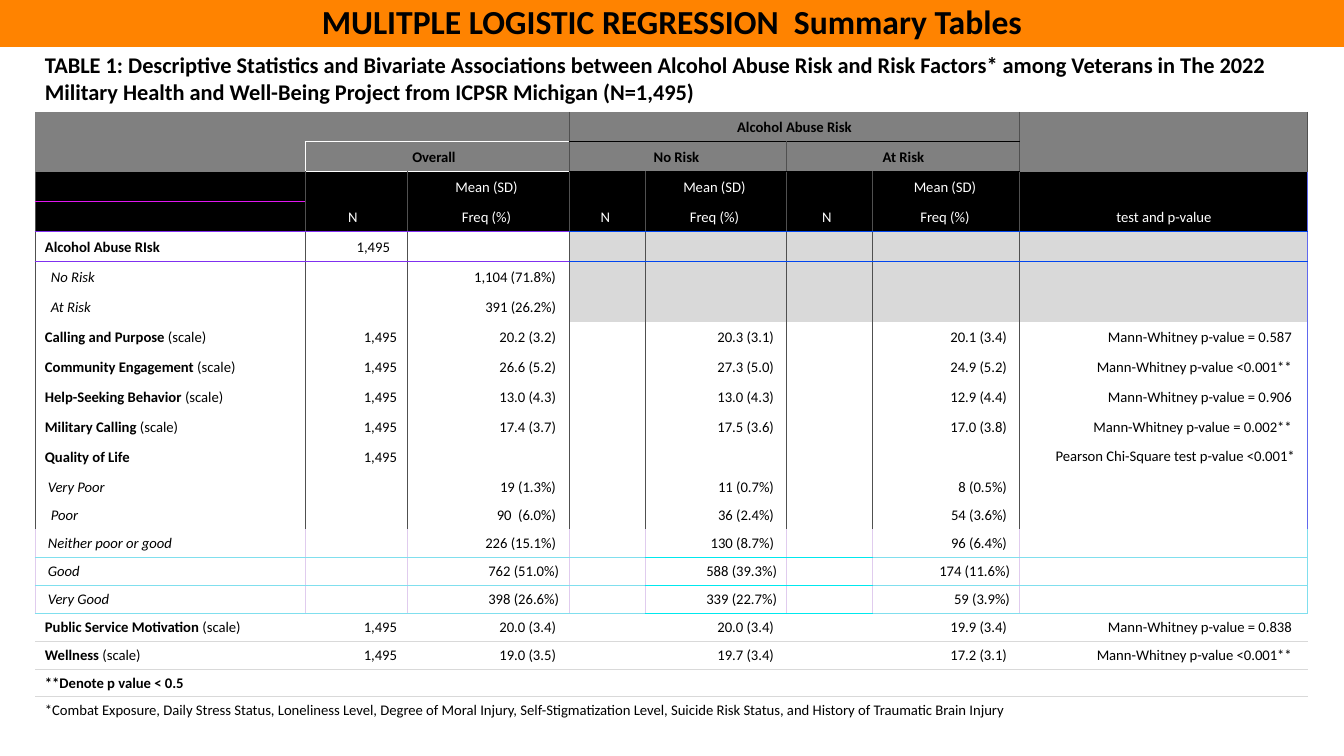
from dataclasses import dataclass

from lxml import etree
from pptx import Presentation
from pptx import util as u
from pptx.dml.color import RGBColor
from pptx.enum import text
from pptx.oxml import ns

LEFT, CENTER, RIGHT = text.PP_ALIGN.LEFT, text.PP_ALIGN.CENTER, text.PP_ALIGN.RIGHT


@dataclass(frozen=True)
class Theme:
    font: str = "Calibri"
    title_size: float = 24
    caption_size: float = 16
    cell_size: float = 10.5
    line_width: float = 0.75
    orange: str = "FF8300"
    black: str = "000000"
    white: str = "FFFFFF"
    grey: str = "808080"
    shade: str = "D9D9D9"
    edge: str = "505050"
    magenta: str = "E017EF"
    purple: str = "8030EF"
    blue: str = "0045EF"
    violet: str = "6068EE"
    cyan: str = "80DFEE"
    bright_cyan: str = "00E8EE"
    lilac: str = "E0CCEE"


THEME = Theme()
NO_GRID_STYLE = "{2D5ABB26-0587-4C30-8999-92F81FD0307C}"
INSET = 10
COLUMN_WIDTHS = [270, 102, 162, 76, 142, 86, 147, 288]
ROW_HEIGHTS = [64] + [30] * 13 + [27] * 8
GROUP_ENDS = [0, 2, 4, 6]
TEST = len(COLUMN_WIDTHS) - 1
CAPTION, GROUP, SUBGROUP, STATISTIC, UNITS, FIRST_BODY = range(6)
NEITHER_ROW, VERY_GOOD_ROW, DENOTE_ROW, COVARIATE_ROW = 15, 17, 20, 21

SCALE, LEVEL = "(scale)", "level"
# label, suffix or level mark, N, overall, no risk, at risk, test
BODY = [
    ("Alcohol Abuse RIsk", "", "1,495", "", "", "", ""),
    ("No Risk", LEVEL, "", "1,104 (71.8%)", "", "", ""),
    ("At Risk", LEVEL, "", "391 (26.2%)", "", "", ""),
    ("Calling and Purpose ", SCALE, "1,495", "20.2 (3.2)", "20.3 (3.1)", "20.1 (3.4)", "Mann-Whitney p-value = 0.587"),
    ("Community Engagement ", SCALE, "1,495", "26.6 (5.2)", "27.3 (5.0)", "24.9 (5.2)", "Mann-Whitney p-value <0.001**"),
    ("Help-Seeking Behavior ", SCALE, "1,495", "13.0 (4.3)", "13.0 (4.3)", "12.9 (4.4)", "Mann-Whitney p-value = 0.906"),
    ("Military Calling ", SCALE, "1,495", "17.4 (3.7)", "17.5 (3.6)", "17.0 (3.8)", "Mann-Whitney p-value = 0.002**"),
    ("Quality of Life", "", "1,495", "", "", "", "Pearson Chi-Square test p-value <0.001*"),
    ("Very Poor", LEVEL, "", "19 (1.3%)", "11 (0.7%)", "8 (0.5%)", ""),
    ("Poor", LEVEL, "", "90  (6.0%)", "36 (2.4%)", "54 (3.6%)", ""),
    ("Neither poor or good", LEVEL, "", "226 (15.1%)", "130 (8.7%)", "96 (6.4%)", ""),
    ("Good", LEVEL, "", "762 (51.0%)", "588 (39.3%)", "174 (11.6%)", ""),
    ("Very Good", LEVEL, "", "398 (26.6%)", "339 (22.7%)", "59 (3.9%)", ""),
    ("Public Service Motivation ", SCALE, "1,495", "20.0 (3.4)", "20.0 (3.4)", "19.9 (3.4)", "Mann-Whitney p-value = 0.838"),
    ("Wellness ", SCALE, "1,495", "19.0 (3.5)", "19.7 (3.4)", "17.2 (3.1)", "Mann-Whitney p-value <0.001**"),
]


def px(count):
    return u.Emu(round(count * 914400 / 100.8))


def apply(target, formats):
    for name, value in formats.items():
        setattr(target, name, value)


class SlideBuilder:
    def __init__(self, deck, theme):
        self.theme = theme
        self.slide = deck.slides.add_slide(deck.slide_layouts[5])

    def add_runs(self, paragraph, runs, size, color, align):
        """Add runs given as (wording, font formats) pairs."""
        paragraph.alignment = align
        for wording, formats in runs:
            run = paragraph.add_run()
            run.text = wording
            apply(run.font, {"name": self.theme.font, "size": u.Pt(size), **formats})
            run.font.color.rgb = RGBColor.from_string(color)

    def title_bar(self, wording, left, top, width, height):
        bar = self.slide.shapes.title
        apply(bar, {"left": px(left), "top": px(top), "width": px(width), "height": px(height)})
        bar.fill.solid()
        bar.fill.fore_color.rgb = RGBColor.from_string(self.theme.orange)
        apply(bar.text_frame, {"vertical_anchor": text.MSO_ANCHOR.MIDDLE, "word_wrap": True,
                               "auto_size": text.MSO_AUTO_SIZE.NONE})
        self.add_runs(bar.text_frame.paragraphs[0], [(wording, {"bold": True})],
                      self.theme.title_size, self.theme.black, CENTER)

    def table(self, left, top, widths, heights):
        table = self.slide.shapes.add_table(len(heights), len(widths), px(left), px(top),
                                            px(sum(widths)), px(sum(heights))).table
        apply(table, {"first_row": False, "horz_banding": False})
        table._tbl.tblPr.find(ns.qn("a:tableStyleId")).text = NO_GRID_STYLE
        for column, width in zip(table.columns, widths):
            column.width = px(width)
        for row, height in zip(table.rows, heights):
            row.height = px(height)
        return table

    def cell_box(self, cell, fill, borders):
        """Set borders, then fill: the order the schema asks for."""
        properties = cell._tc.get_or_add_tcPr()
        for side in filter(borders.get, "LRTB"):
            line = etree.SubElement(properties, ns.qn("a:ln" + side), w=str(u.Pt(self.theme.line_width)))
            solid = etree.SubElement(line, ns.qn("a:solidFill"))
            etree.SubElement(solid, ns.qn("a:srgbClr"), val=borders[side])
        if fill:
            cell.fill.solid()
            cell.fill.fore_color.rgb = RGBColor.from_string(fill)
        else:
            cell.fill.background()
        cell.vertical_anchor = text.MSO_ANCHOR.BOTTOM
        end = cell.text_frame.paragraphs[0]._p.get_or_add_endParaRPr()
        end.set("sz", str(round(self.theme.cell_size * 100)))

    def cell_text(self, cell, runs, align=LEFT, left=INSET, right=INSET, size=None, color=None):
        apply(cell, {"margin_left": px(left), "margin_right": px(right)})
        self.add_runs(cell.text_frame.paragraphs[0], runs, size or self.theme.cell_size,
                      color or self.theme.black, align)


def cell_fill(row, column):
    if row in (GROUP, SUBGROUP):
        return THEME.grey
    if row in (STATISTIC, UNITS):
        return THEME.black
    return THEME.shade if FIRST_BODY <= row < FIRST_BODY + 3 and column >= 3 else None


def line_below(row, column):
    if row == GROUP and 1 <= column <= 6:
        return THEME.white if column <= 2 else THEME.black
    if row == STATISTIC and column == 0:
        return THEME.magenta
    if row == UNITS:
        return THEME.purple if column <= 2 else THEME.blue
    if NEITHER_ROW <= row <= VERY_GOOD_ROW:
        return THEME.bright_cyan if column in (4, 5) else THEME.cyan
    return THEME.shade if VERY_GOOD_ROW < row <= DENOTE_ROW else None


def cell_borders(row, column):
    borders = {"T": line_below(row - 1, column), "B": line_below(row, column)}
    if GROUP <= row <= VERY_GOOD_ROW:
        color = THEME.lilac if row >= NEITHER_ROW else THEME.edge
        for end in (2, 6) if row == GROUP else GROUP_ENDS:
            if column in (end, end + 1):
                white = (row, end) == (SUBGROUP, 0)
                borders["R" if column == end else "L"] = THEME.white if white else color
        if row >= STATISTIC and column == 0:
            borders["L"] = color
        if row >= STATISTIC and column == TEST:
            borders["R"] = THEME.cyan if row >= NEITHER_ROW else THEME.violet
    return borders


def fill_headings(builder, table):
    for row, first, last, wording, right in [
        (GROUP, 3, 6, "Alcohol Abuse Risk", 10), (SUBGROUP, 1, 2, "Overall", 16),
        (SUBGROUP, 3, 4, "No Risk", 13), (SUBGROUP, 5, 6, "At Risk", 10),
    ]:
        table.cell(row, first).merge(table.cell(row, last))
        builder.cell_text(table.cell(row, first), [(wording, {"bold": True})], CENTER, right=right)
    units = ["N", "Freq (%)"] * 3 + ["test and p-value"]
    headings = [(UNITS, column, wording) for column, wording in enumerate(units, 1)]
    headings += [(STATISTIC, column, "Mean (SD)") for column in (2, 4, 6)]
    for row, column, wording in headings:
        right = {1: 16, 5: 16, TEST: INSET}.get(column, 13)
        builder.cell_text(table.cell(row, column), [(wording, {})], CENTER, right=right, color=THEME.white)


def fill_body(builder, table):
    for row, (label, suffix, n, overall, no_risk, at_risk, test) in enumerate(BODY, FIRST_BODY):
        if suffix == LEVEL:
            indent = 6 if label in ("No Risk", "At Risk", "Poor") else 3
            builder.cell_text(table.cell(row, 0), [(label, {"italic": True})], left=INSET + indent)
        else:
            runs = [(label, {"bold": True})] + ([(suffix, {})] if suffix else [])
            builder.cell_text(table.cell(row, 0), runs)
        value_inset = INSET if label in ("Good", "Very Good") else 13
        pearson = test.startswith("Pearson")
        for column, wording, right in [
            (1, n, 17 if row == FIRST_BODY else INSET), (2, overall, value_inset),
            (4, no_risk, value_inset), (6, at_risk, value_inset), (TEST, test, 13 if pearson else 16),
        ]:
            if wording:
                builder.cell_text(table.cell(row, column), [(wording, {})], RIGHT, right=right)
        if pearson:
            table.cell(row, TEST).vertical_anchor = text.MSO_ANCHOR.MIDDLE


def main():
    deck = Presentation()
    apply(deck, {"slide_width": px(1344), "slide_height": px(756)})
    builder = SlideBuilder(deck, THEME)
    builder.title_bar("MULITPLE LOGISTIC REGRESSION  Summary Tables", 0, -4, 1344, 51)
    table = builder.table(35, 47, COLUMN_WIDTHS, ROW_HEIGHTS)
    for row in range(len(ROW_HEIGHTS)):
        for column in range(len(COLUMN_WIDTHS)):
            builder.cell_box(table.cell(row, column), cell_fill(row, column), cell_borders(row, column))
    for row in (CAPTION, COVARIATE_ROW):
        table.cell(row, 0).merge(table.cell(row, TEST))
    builder.cell_text(table.cell(CAPTION, 0), [(
        "TABLE 1: Descriptive Statistics and Bivariate Associations between Alcohol Abuse Risk and Risk Factors* among "
        "Veterans in The 2022 Military Health and Well-Being Project from ICPSR Michigan (N=1,495)",
        {"bold": True})], size=THEME.caption_size)
    fill_headings(builder, table)
    fill_body(builder, table)
    builder.cell_text(table.cell(DENOTE_ROW, 0), [("**Denote p value < 0.5", {"bold": True})])
    builder.cell_text(table.cell(COVARIATE_ROW, 0), [(
        "*Combat Exposure, Daily Stress Status, Loneliness Level, Degree of Moral Injury, Self-Stigmatization Level, "
        "Suicide Risk Status, and History of Traumatic Brain Injury", {})])
    deck.save("out.pptx")


if __name__ == "__main__":
    main()
